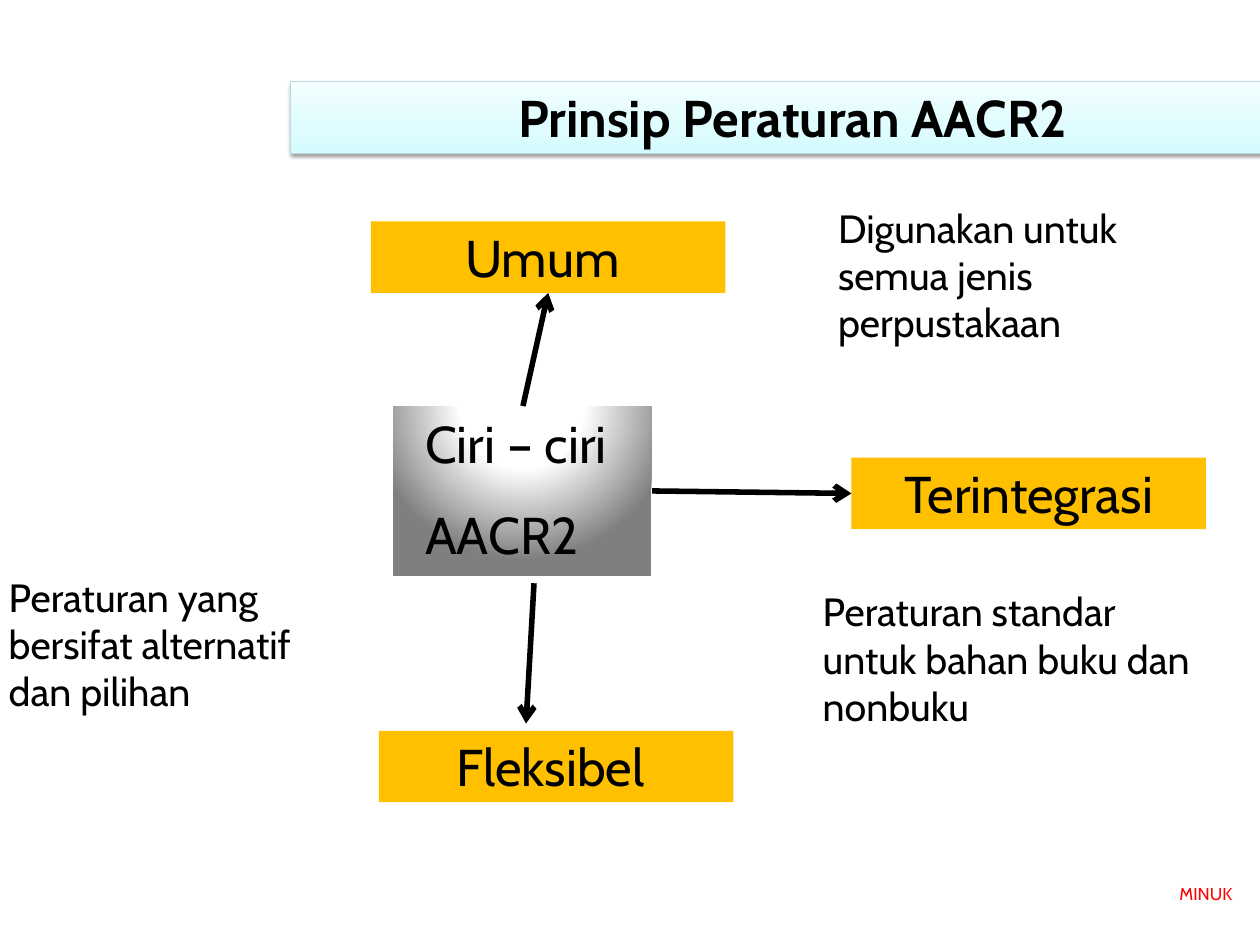
"""Slide on the principles of the AACR2 cataloguing rules."""
from pptx import Presentation
from pptx import util as u
from pptx.dml.color import RGBColor
from pptx.enum import shapes, text
from pptx.oxml import parse_xml
from pptx.oxml.ns import nsdecls, qn

BLACK = RGBColor(0, 0, 0)
RED = RGBColor(0xFF, 0, 0)
AMBER = RGBColor(0xFF, 0xC0, 0)
WHITE = RGBColor(0xFF, 0xFF, 0xFF)
GREY = RGBColor(0x7F, 0x7F, 0x7F)
CYAN_EDGE = RGBColor(0xB6, 0xDC, 0xDF)
CYANS = [(0, RGBColor(0xD3, 0xFB, 0xFF)), (35, RGBColor(0xDF, 0xFC, 0xFF)),
         (100, RGBColor(0xF2, 0xFE, 0xFF))]
GREYS = [(0, WHITE), (40, WHITE), (100, GREY)]
UPWARD = '<a:lin ang="16200000" scaled="0"/>'
FROM_TOP = '<a:path path="circle"><a:fillToRect l="50000" r="50000" b="100000"/></a:path>'
LEFT, CENTER = text.PP_ALIGN.LEFT, text.PP_ALIGN.CENTER


def write(sp, lines, size=42, color=BLACK, bold=False, align=CENTER,
          anchor=text.MSO_ANCHOR.TOP, before=0):
    tf = sp.text_frame
    tf.word_wrap = True
    tf.vertical_anchor = anchor
    for i, line in enumerate(lines):
        p = tf.paragraphs[0] if i == 0 else tf.add_paragraph()
        p.alignment = align
        if i:
            p.space_before = u.Pt(before)
        r = p.add_run()
        r.text = line
        r.font.name, r.font.size, r.font.bold = "Cabin", u.Pt(size), bold
        r.font.color.rgb = color
    return tf


def add_text(s, x, y, w, h, line, **fmt):
    sp = s.shapes.add_textbox(*map(u.Pt, (x, y, w, h)))
    return write(sp, [line], **fmt)


def add_box(s, x, y, w, h):
    sp = s.shapes.add_shape(shapes.MSO_SHAPE.RECTANGLE, *map(u.Pt, (x, y, w, h)))
    sp.shadow.inherit = False
    sp.line.fill.background()
    return sp


def grad_fill(sp, stops, direction):
    gs = "".join(f'<a:gs pos="{pos * 1000}"><a:srgbClr val="{c}"/></a:gs>' for pos, c in stops)
    sp.fill.background()
    spPr = sp._element.spPr
    spPr.replace(spPr.find(qn("a:noFill")), parse_xml(
        f'<a:gradFill {nsdecls("a")} rotWithShape="1"><a:gsLst>{gs}</a:gsLst>'
        f'{direction}</a:gradFill>'))


def title_bar(s, x, y, w, h):
    sp = add_box(s, x, y, w, h)
    grad_fill(sp, CYANS, UPWARD)
    sp.line.color.rgb = CYAN_EDGE
    sp.line.width = u.Pt(0.75)
    sp._element.spPr.find(qn("a:effectLst")).append(parse_xml(
        f'<a:outerShdw {nsdecls("a")} blurRad="{u.Pt(3.1)}" dist="{u.Pt(1.6)}" '
        'dir="5400000" rotWithShape="0"><a:srgbClr val="000000">'
        '<a:alpha val="38000"/></a:srgbClr></a:outerShdw>'))
    write(sp, ["Prinsip Peraturan AACR2"], bold=True)


def hub(s, x, y, w, h):
    sp = add_box(s, x, y, w, h)
    grad_fill(sp, GREYS, FROM_TOP)
    tf = write(sp, ["Ciri – ciri", "AACR2"], align=LEFT, before=24)
    tf.margin_left = u.Pt(26)
    tf.margin_top = tf.margin_right = tf.margin_bottom = u.Pt(4.5)


def principle(s, x, y, w, h, name):
    sp = add_box(s, x, y, w, h)
    sp.fill.solid()
    sp.fill.fore_color.rgb = AMBER
    write(sp, [name])


def arrow(s, x1, y1, x2, y2):
    c = s.shapes.add_connector(shapes.MSO_CONNECTOR.STRAIGHT, *map(u.Pt, (x1, y1, x2, y2)))
    c.line.color.rgb = BLACK
    c.line.width = u.Pt(4.5)
    c.line._get_or_add_ln().append(parse_xml(f'<a:tailEnd {nsdecls("a")} type="arrow"/>'))
    c._element.spPr.append(parse_xml(f'<a:effectLst {nsdecls("a")}/>'))


def diagram(s, x, y, w, h):
    hub(s, x + 319.5, y + 168, 210, 138)
    for dx, dy, name in [(301.5, 18, "Umum "), (692, 210, "Terintegrasi"),
                         (308, 432, "Fleksibel ")]:
        principle(s, x + dx, y + dy, 288, 58, name)
    for dx, dy, dw, note in [
            (674, 0, 288, "Digunakan untuk semua jenis perpustakaan"),
            (661.5, 312, 330, "Peraturan standar untuk bahan buku dan nonbuku"),
            (0, 300, 266, "Peraturan yang bersifat alternatif dan pilihan")]:
        add_text(s, x + dx, y + dy, dw, 124, note, size=32, align=LEFT)
    for x1, y1, x2, y2 in [(425, 168, 445.5, 76), (530, 237, 692, 239),
                           (434, 312, 427.5, 426)]:
        arrow(s, x + x1, y + y1, x + x2, y + y2)


def main():
    prs = Presentation()
    prs.slide_width, prs.slide_height = u.Pt(1024), u.Pt(768)
    s = prs.slides.add_slide(prs.slide_layouts[6])
    title_bar(s, 236, 66.5, 816, 58)
    diagram(s, 0, 162, 1024, 490)
    add_text(s, 939.5, 714, 81, 24, "MINUK", size=14, color=RED)
    prs.save("out.pptx")


if __name__ == "__main__":
    main()
